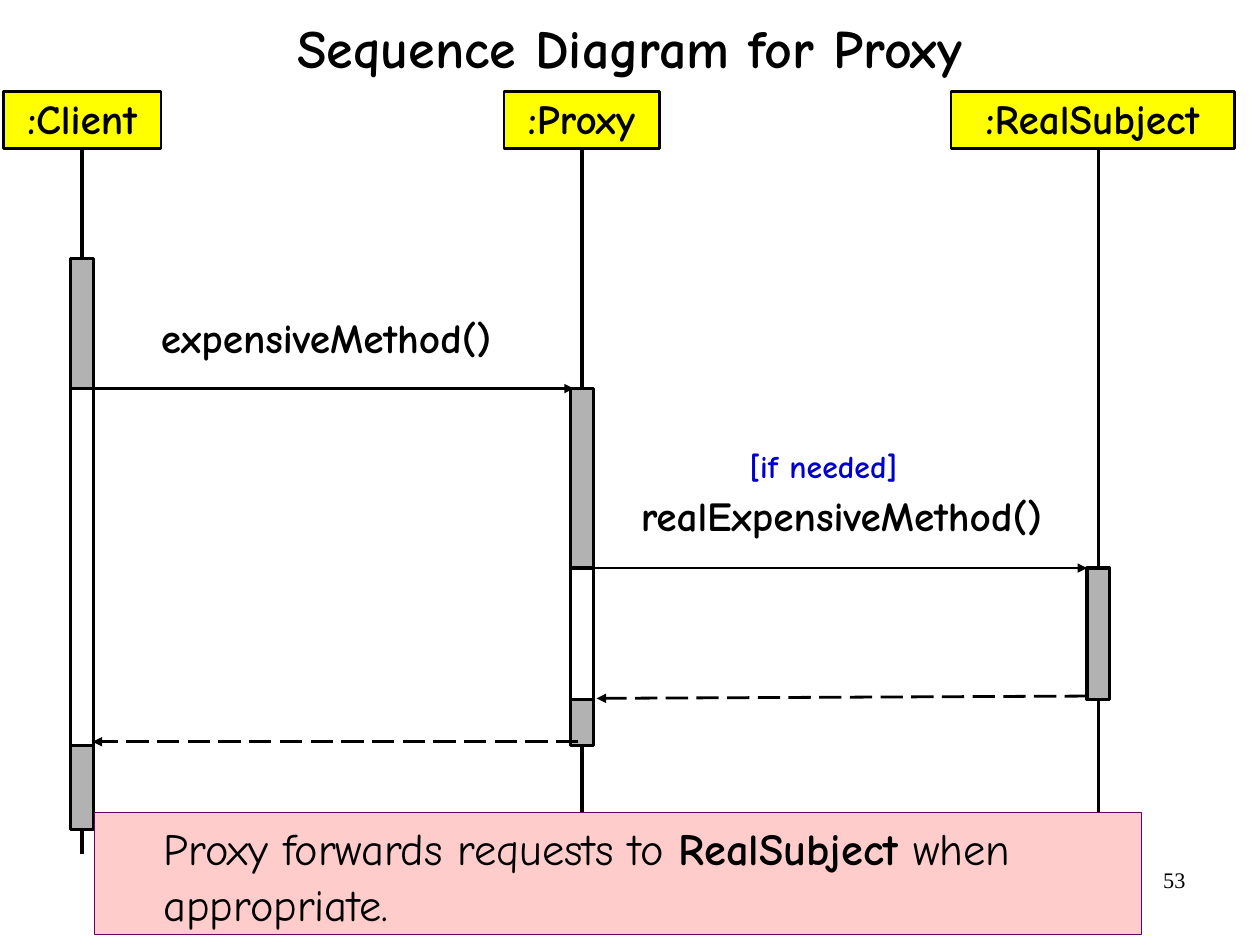
from dataclasses import dataclass

from pptx import Presentation
from pptx.dml.color import RGBColor
from pptx.enum.dml import MSO_LINE
from pptx.enum.shapes import MSO_CONNECTOR, MSO_SHAPE
from pptx.enum.text import MSO_ANCHOR, PP_ALIGN
from pptx.oxml.ns import qn
from pptx.shapes.autoshape import Shape
from pptx.shapes.connector import Connector
from pptx.slide import Slide
from pptx.util import Inches, Pt
from lxml.etree import SubElement

COLOURS = {
    "ink": "000000",
    "paper": "FFFFFF",
    "header": "FFFF00",
    "active": "B2B2B2",
    "condition": "0000CC",
    "summary": "FFCCCC",
    "summary edge": "660066",
}
FONT = "Comic Neue"
CM_PER_INCH = 2.54
PAGE_WIDTH, PAGE_HEIGHT = 28 / CM_PER_INCH, 21 / CM_PER_INCH
HEADER_TOP, HEADER_HEIGHT = 0.8, 0.5
LIFELINE_END = 7.47
BAR_WIDTH = 0.2


@dataclass
class Participant:
    name: str
    lifeline: float
    header_centre: float
    header_width: float


@dataclass
class Activation:
    lifeline: float
    top: float
    height: float
    colour: str = "active"


@dataclass
class Message:
    start: tuple[float, float]
    end: tuple[float, float]
    dashed: bool = False


@dataclass
class Label:
    text: str
    at: tuple[float, float, float, float]
    size: int = 26
    colour: str = "ink"
    align: PP_ALIGN = PP_ALIGN.CENTER
    bold: bool = True
    font: str = FONT


CLIENT = Participant(":Client", 0.72, 0.72, 1.38)
PROXY = Participant(":Proxy", 5.09, 5.09, 1.36)
SUBJECT = Participant(":RealSubject", 9.61, 9.56, 2.48)

ACTIVATIONS = [
    Activation(CLIENT.lifeline, 2.26, 5),
    Activation(PROXY.lifeline, 3.4, 3.12),
    Activation(SUBJECT.lifeline, 4.97, 1.15),
    Activation(CLIENT.lifeline, 3.4, 3.12, "paper"),
    Activation(PROXY.lifeline, 4.97, 1.15, "paper"),
]
CALLS = [
    Message((0.77, 3.4), (5.02, 3.4)),
    Message((5.12, 4.97), (9.51, 4.97)),
]
RETURNS = [
    Message((5.06, 6.49), (0.81, 6.49), dashed=True),
    Message((9.51, 6.09), (5.22, 6.11), dashed=True),
]
LABELS = [
    Label("expensiveMethod()", (1.14, 2.67, 3.43, 0.55)),
    Label("realExpensiveMethod()", (5.3, 4.23, 4.13, 0.55)),
    Label("[if needed]", (6.46, 3.85, 2.12, 0.44), 20, "condition", PP_ALIGN.LEFT),
    Label("53", (7.9, 7.52, 2.57, 0.57), 14, align=PP_ALIGN.RIGHT, bold=False,
          font="Times New Roman"),
]


def rgb(name: str) -> RGBColor:
    return RGBColor.from_string(COLOURS[name])


def add_span(para, text: str, *, size: float, colour: str = "ink",
             bold: bool = True, font: str = FONT) -> None:
    span = para.add_run()
    span.text = text
    span.font.name = font
    span.font.size = Pt(size)
    span.font.bold = bold
    span.font.color.rgb = rgb(colour)


def add_box(page: Slide, at: tuple[float, float, float, float], fill: str,
            edge: str = "ink", weight: float = 2) -> Shape:
    box = page.shapes.add_shape(MSO_SHAPE.RECTANGLE, *map(Inches, at))
    box.shadow.inherit = False
    box.fill.solid()
    box.fill.fore_color.rgb = rgb(fill)
    box.line.color.rgb = rgb(edge)
    box.line.width = Pt(weight)
    return box


def add_line(page: Slide, start: tuple[float, float], end: tuple[float, float],
             weight: float) -> Connector:
    line = page.shapes.add_connector(MSO_CONNECTOR.STRAIGHT, *map(Inches, (*start, *end)))
    line.line.color.rgb = rgb("ink")
    line.line.width = Pt(weight)
    SubElement(line._element.spPr, qn("a:effectLst"))
    return line


def add_participant(page: Slide, who: Participant) -> None:
    left = who.header_centre - who.header_width / 2
    header = add_box(page, (left, HEADER_TOP, who.header_width, HEADER_HEIGHT),
                     "header", weight=1.5)
    frame = header.text_frame
    frame.word_wrap = False
    frame.vertical_anchor = MSO_ANCHOR.MIDDLE
    frame.margin_top, frame.margin_bottom = 0, Inches(0.03)
    frame.paragraphs[0].alignment = PP_ALIGN.CENTER
    add_span(frame.paragraphs[0], who.name, size=26)

    lifeline = add_line(page, (who.lifeline, HEADER_TOP + HEADER_HEIGHT),
                        (who.lifeline, LIFELINE_END), 2.25)
    if who.lifeline == who.header_centre:
        lifeline.begin_connect(header, 2)


def add_message(page: Slide, message: Message) -> None:
    arrow = add_line(page, message.start, message.end, 1.75)
    if message.dashed:
        arrow.line.dash_style = MSO_LINE.LONG_DASH
    SubElement(arrow.line._get_or_add_ln(), qn("a:tailEnd"), type="triangle")


def add_label(page: Slide, label: Label) -> None:
    box = page.shapes.add_textbox(*map(Inches, label.at))
    frame = box.text_frame
    frame.word_wrap = True
    frame.margin_top = frame.margin_bottom = Inches(0.06)
    para = frame.paragraphs[0]
    para.alignment = label.align
    add_span(para, label.text, size=label.size, colour=label.colour,
             bold=label.bold, font=label.font)


def add_title(page: Slide, text: str) -> None:
    title = page.shapes.title
    title.left, title.top, title.width, title.height = map(Inches, (0.46, 0.09, 10.1, 0.64))
    title.text_frame.vertical_anchor = MSO_ANCHOR.MIDDLE
    title.text_frame.paragraphs[0].alignment = PP_ALIGN.CENTER
    add_span(title.text_frame.paragraphs[0], text, size=34)


def add_summary(page: Slide) -> None:
    box = add_box(page, (0.83, 7.11, 9.16, 1.07), "summary", "summary edge", 0.75)
    frame = box.text_frame
    frame.word_wrap = True
    frame.vertical_anchor = MSO_ANCHOR.TOP
    para = frame.paragraphs[0]
    para.alignment = PP_ALIGN.LEFT
    para.line_spacing = 1.05
    para._p.get_or_add_pPr().set("marL", str(Inches(0.5)))
    add_span(para, "Proxy forwards requests to ", size=28, bold=False)
    add_span(para, "RealSubject", size=28)
    add_span(para, " when appropriate.", size=28, bold=False)


def main() -> None:
    deck = Presentation()
    deck.slide_width, deck.slide_height = Inches(PAGE_WIDTH), Inches(PAGE_HEIGHT)
    page = deck.slides.add_slide(deck.slide_layouts[5])
    add_title(page, "Sequence Diagram for Proxy")
    for who in (CLIENT, PROXY, SUBJECT):
        add_participant(page, who)
    for call in CALLS:
        add_message(page, call)
    for bar in ACTIVATIONS:
        add_box(page, (bar.lifeline - BAR_WIDTH / 2, bar.top, BAR_WIDTH, bar.height), bar.colour)
    for reply in RETURNS:
        add_message(page, reply)
    for label in LABELS:
        add_label(page, label)
    add_summary(page)
    deck.save("out.pptx")


if __name__ == "__main__":
    main()
